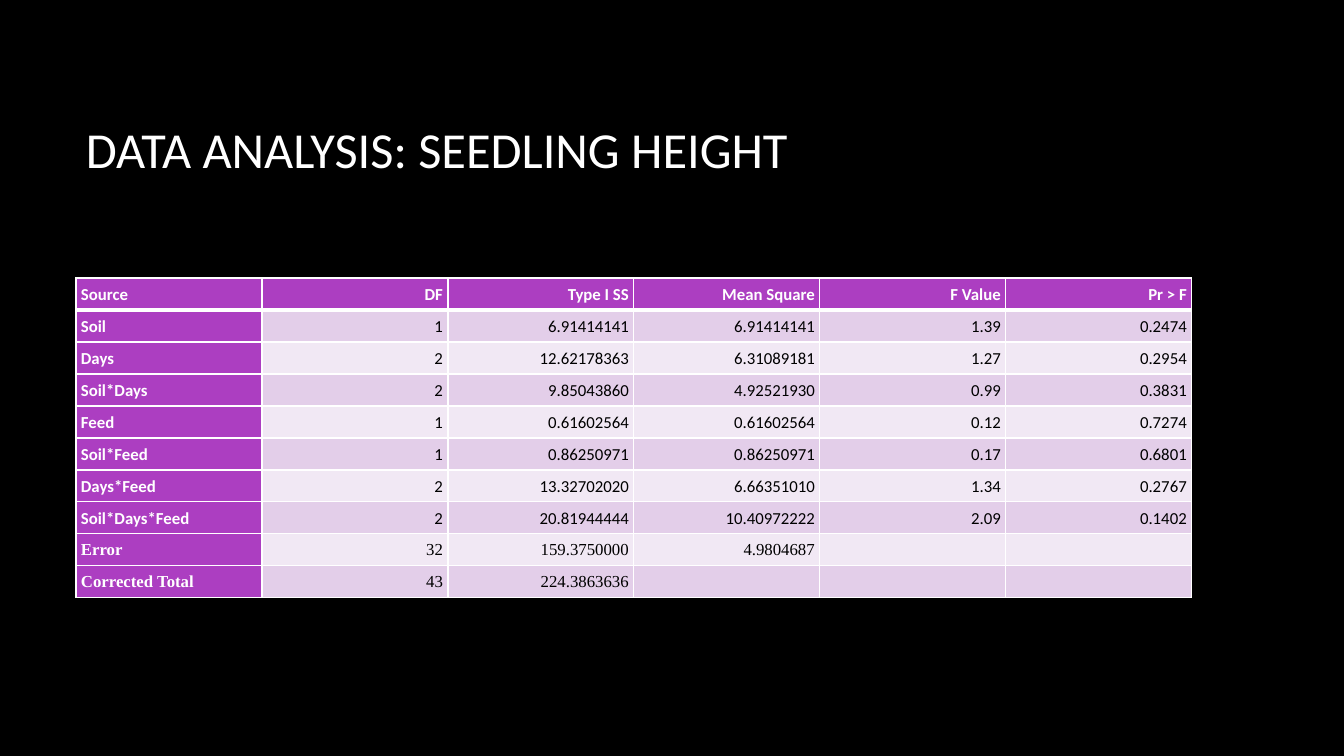
from lxml.etree import SubElement
from pptx import Presentation
from pptx.dml.color import RGBColor
from pptx.enum.text import MSO_ANCHOR, PP_ALIGN
from pptx.oxml.ns import qn
from pptx.util import Pt

PX = 12192000 / 1344  # EMU per pixel
PURPLE, LILAC, PALE = "AC3EC1", "E3CEE9", "F1E8F4"
WHITE, BLACK = "FFFFFF", "000000"


def px(length):
    return round(length * PX)


def paint(fill, color):
    fill.solid()
    fill.fore_color.rgb = RGBColor.from_string(color)


prs = Presentation()
prs.slide_width, prs.slide_height = px(1344), px(756)
slide = prs.slides.add_slide(prs.slide_layouts[6])
paint(slide.background.fill, BLACK)

# Title
title = slide.shapes.add_textbox(px(76), px(68), px(1117), px(160)).text_frame
title.word_wrap = True
title.vertical_anchor = MSO_ANCHOR.MIDDLE
heading = title.paragraphs[0]
heading.text = "DATA ANALYSIS: SEEDLING HEIGHT"
heading.font.size = Pt(36)
heading.font.name = "Calibri"
paint(heading.font.fill, WHITE)

# Analysis of variance
anova = [
    ("Source", "DF", "Type I SS", "Mean Square", "F Value", "Pr > F"),
    ("Soil", "1", "6.91414141", "6.91414141", "1.39", "0.2474"),
    ("Days", "2", "12.62178363", "6.31089181", "1.27", "0.2954"),
    ("Soil*Days", "2", "9.85043860", "4.92521930", "0.99", "0.3831"),
    ("Feed", "1", "0.61602564", "0.61602564", "0.12", "0.7274"),
    ("Soil*Feed", "1", "0.86250971", "0.86250971", "0.17", "0.6801"),
    ("Days*Feed", "2", "13.32702020", "6.66351010", "1.34", "0.2767"),
    ("Soil*Days*Feed", "2", "20.81944444", "10.40972222", "2.09", "0.1402"),
    ("Error", "32", "159.3750000", "4.9804687", "", ""),
    ("Corrected Total", "43", "224.3863636", "", "", ""),
]
row_count, column_count = len(anova), len(anova[0])
table = slide.shapes.add_table(row_count, column_count, px(76), px(278),
                               px(186 * column_count), px(32 * row_count)).table
table.first_col = True

for r, record in enumerate(anova):
    for c, value in enumerate(record):
        cell = table.cell(r, c)
        is_header = r == 0 or c == 0

        # White borders, thicker under the header row
        borders = cell._tc.get_or_add_tcPr()
        widths = {"a:lnL": 1, "a:lnR": 1,
                  "a:lnT": 3 if r == 1 else 1, "a:lnB": 3 if r == 0 else 1}
        for side, width in widths.items():
            line = SubElement(borders, qn(side), w=str(Pt(width)))
            line_fill = SubElement(line, qn("a:solidFill"))
            SubElement(line_fill, qn("a:srgbClr"), val=WHITE)
        paint(cell.fill, PURPLE if is_header else LILAC if r % 2 else PALE)

        # Empty cells get no vertical margin, so their rows stay low
        cell.margin_left = cell.margin_right = px(5)
        cell.margin_top = cell.margin_bottom = px(5) if value else 0
        if not value:
            continue

        entry = cell.text_frame.paragraphs[0]
        entry.text = value
        entry.alignment = PP_ALIGN.RIGHT if c else PP_ALIGN.LEFT
        entry.line_spacing = 1.07
        entry.font.size = Pt(12)
        entry.font.bold = is_header
        entry.font.name = "Times New Roman" if r >= row_count - 2 else "Calibri"
        paint(entry.font.fill, WHITE if is_header else BLACK)

prs.save("out.pptx")
